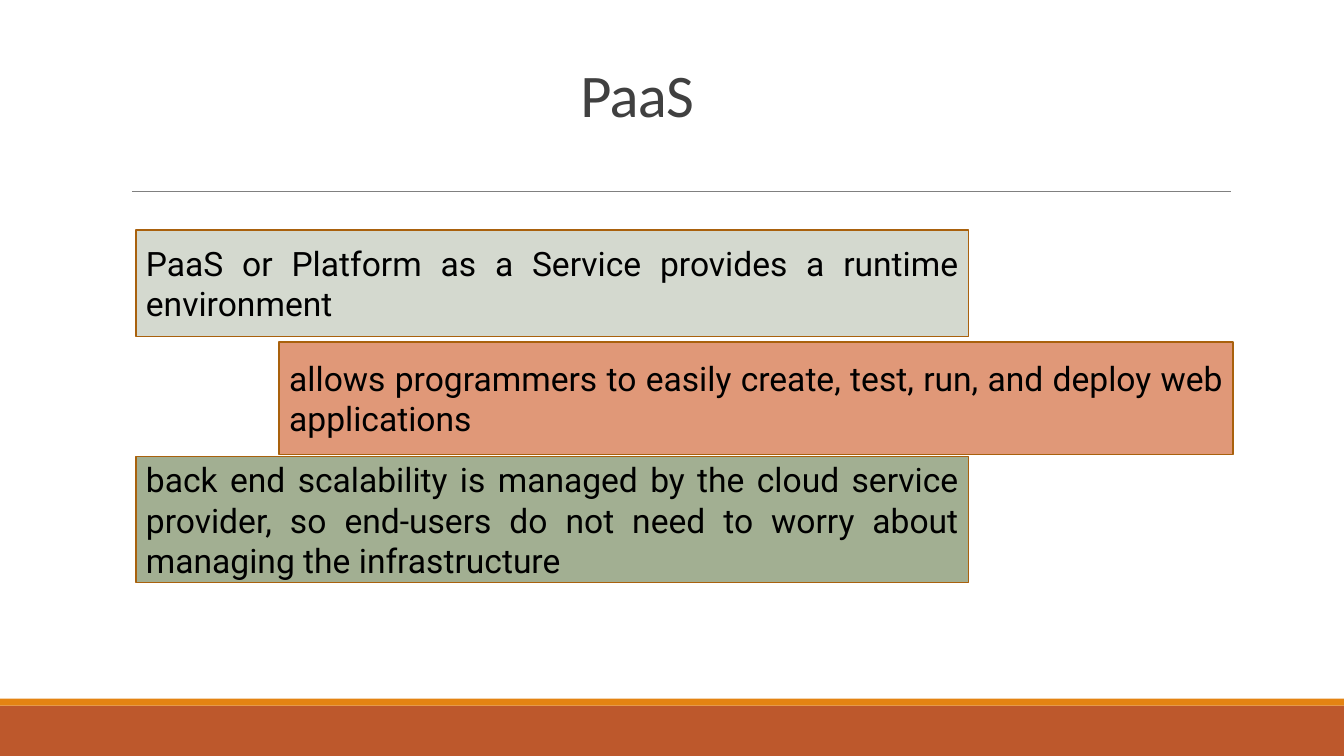
from dataclasses import dataclass

from lxml.etree import SubElement
from pptx import Presentation
from pptx.dml.color import RGBColor
from pptx.enum.shapes import MSO_CONNECTOR, MSO_SHAPE
from pptx.enum.text import MSO_ANCHOR, PP_ALIGN
from pptx.oxml.ns import qn
from pptx.util import Pt


@dataclass(frozen=True)
class Theme:
    """Colours, fonts and type sizes of the slide."""

    title_font: str = "Calibri"
    body_font: str = "Roboto"
    title_size: float = 43.2
    body_size: float = 24
    title_color: str = "404040"
    body_color: str = "000000"
    rule_color: str = "808080"
    card_border: str = "A9610D"
    pale: str = "D4D9CF"
    salmon: str = "E09878"
    sage: str = "A2AF92"
    footer_band: str = "BD582C"
    footer_edge: str = "E48312"


THEME = Theme()


def add_box(slide, left, top, width, height, fill, border=None):
    """Draw a flat rectangle and return it."""
    shape = slide.shapes.add_shape(
        MSO_SHAPE.RECTANGLE, Pt(left), Pt(top), Pt(width), Pt(height))
    shape.shadow.inherit = False
    shape.fill.solid()
    shape.fill.fore_color.rgb = RGBColor.from_string(fill)
    if border:
        shape.line.color.rgb = RGBColor.from_string(border)
        shape.line.width = Pt(1.25)
    else:
        shape.line.fill.background()
    return shape


def write_text(shape, text, *, font, size, color, align, anchor, line_spacing=1.0):
    """Write one formatted paragraph in a shape and return the paragraph."""
    frame = shape.text_frame
    frame.word_wrap = True
    frame.vertical_anchor = anchor
    paragraph = frame.paragraphs[0]
    paragraph.alignment = align
    paragraph.line_spacing = line_spacing
    run = paragraph.add_run()
    run.text = text
    run.font.name = font
    run.font.size = Pt(size)
    run.font.color.rgb = RGBColor.from_string(color)
    return paragraph


def add_footer(slide, left, top, width, height, edge=5):
    """Draw the footer band with its thin upper edge."""
    add_box(slide, left, top + edge, width, height - edge, THEME.footer_band)
    add_box(slide, left, top, width, edge, THEME.footer_edge)


def add_title(slide, left, top, width, height, text, indent):
    """Write the indented slide title."""
    title = slide.shapes.add_textbox(Pt(left), Pt(top), Pt(width), Pt(height))
    paragraph = write_text(
        title, text, font=THEME.title_font, size=THEME.title_size,
        color=THEME.title_color, align=PP_ALIGN.LEFT,
        anchor=MSO_ANCHOR.BOTTOM, line_spacing=0.85)
    paragraph._p.get_or_add_pPr().set("marL", str(Pt(indent)))
    paragraph.runs[0].font._element.set("spc", "-50")


def add_rule(slide, left, top, width):
    """Draw the thin line below the title."""
    rule = slide.shapes.add_connector(
        MSO_CONNECTOR.STRAIGHT, Pt(left), Pt(top), Pt(left + width), Pt(top))
    rule.line.color.rgb = RGBColor.from_string(THEME.rule_color)
    rule.line.width = Pt(0.5)
    SubElement(rule._element.spPr, qn("a:effectLst"))


def add_card(slide, left, top, width, height, text, fill):
    """Draw a bordered card with justified text."""
    card = add_box(slide, left, top, width, height, fill, THEME.card_border)
    write_text(
        card, text, font=THEME.body_font, size=THEME.body_size,
        color=THEME.body_color, align=PP_ALIGN.JUSTIFY, anchor=MSO_ANCHOR.MIDDLE)


def add_cards(slide, left, top, width):
    """Place the staggered cards, alternating between the left and right edges."""
    narrow, wide = 594.7, 681.1
    shifted = left + width - wide
    cards = [
        (left, 0, narrow, 76.3, THEME.pale,
         "PaaS or Platform as a Service provides a runtime environment"),
        (shifted, 80, wide, 80.6, THEME.salmon,
         "allows programmers to easily create, test, run, and deploy web applications"),
        (left, 162, narrow, 90, THEME.sage,
         "back end scalability is managed by the cloud service provider, "
         "so end-users do not need to worry about managing the infrastructure"),
    ]
    for card_left, offset, card_width, height, fill, text in cards:
        add_card(slide, card_left, top + offset, card_width, height, text, fill)


def main():
    """Build and save the slide."""
    presentation = Presentation()
    presentation.slide_width, presentation.slide_height = Pt(960), Pt(540)
    slide = presentation.slides.add_slide(presentation.slide_layouts[6])
    add_footer(slide, 0, 499, 960, 41)
    add_rule(slide, 94.3, 136.8, 784.8)
    add_title(slide, 47.5, 41, 802, 55.4, "PaaS", indent=360)
    add_cards(slide, 97.2, 164.1, 783.4)
    presentation.save("out.pptx")


if __name__ == "__main__":
    main()
